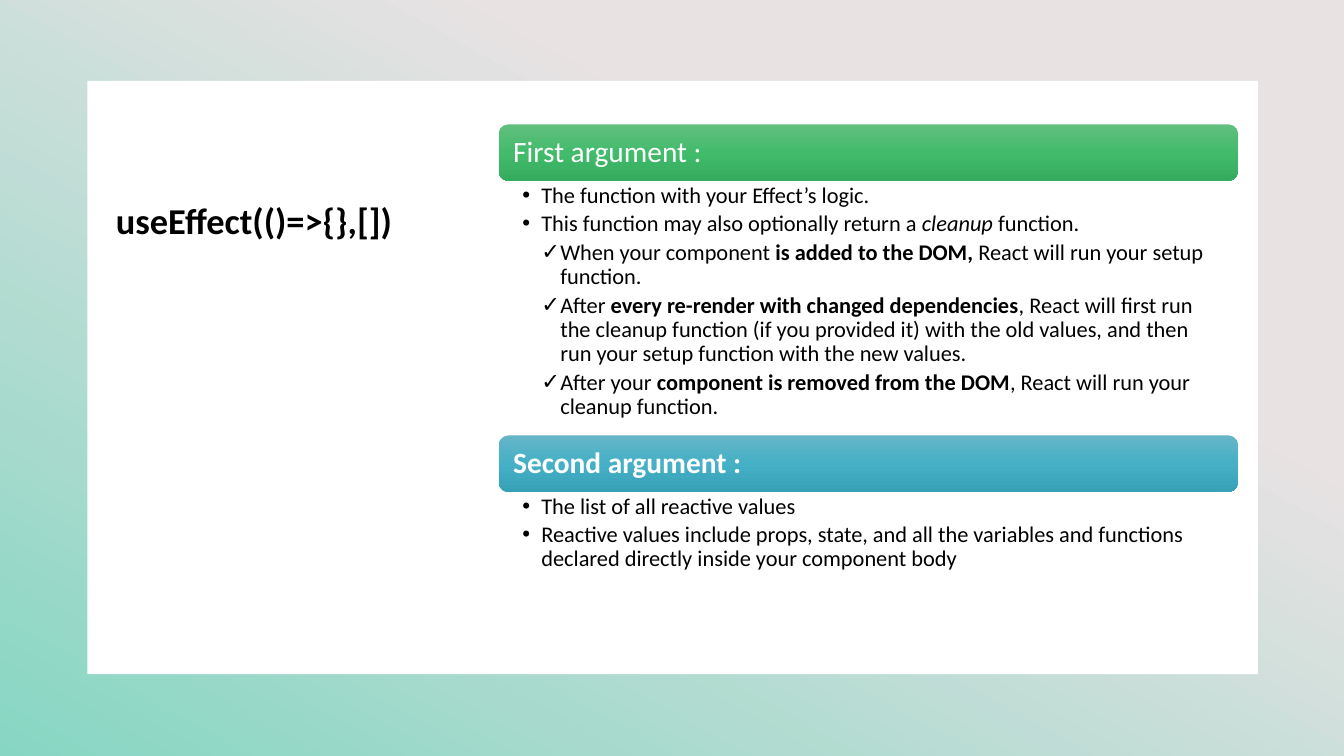
"""Build a slide that explains the two arguments of useEffect."""
from copy import deepcopy

from lxml.etree import SubElement
from pptx import Presentation
from pptx.dml.color import RGBColor
from pptx.enum.shapes import MSO_SHAPE
from pptx.enum.text import MSO_ANCHOR, MSO_AUTO_SIZE, PP_ALIGN
from pptx.oxml.ns import qn
from pptx.util import Pt

BLACK = RGBColor(0x00, 0x00, 0x00)
WHITE = RGBColor(0xFF, 0xFF, 0xFF)
BACKDROP = [(0.32, RGBColor(0xE8, 0xE2, 0xE3)), (1, RGBColor(0x84, 0xD6, 0xC2))]
GREEN = [(0, RGBColor(0x62, 0xBF, 0x7E)), (0.5, RGBColor(0x42, 0xBB, 0x6B)),
         (1, RGBColor(0x35, 0xAB, 0x5E))]
TEAL = [(0, RGBColor(0x66, 0xB5, 0xC7)), (0.5, RGBColor(0x45, 0xB0, 0xC6)),
        (1, RGBColor(0x37, 0xA1, 0xB6))]

BOLD = {"bold": True}
ITALIC = {"italic": True}
FIRST_ITEMS = [
    (1, [("The function with your Effect’s logic.", {})]),
    (1, [("This function may also optionally return a ", {}),
         ("cleanup", ITALIC), (" function.", {})]),
    (2, [("When your component ", {}), ("is added to the DOM,", BOLD),
         (" React will run your setup function.", {})]),
    (2, [("After ", {}), ("every re-render with changed dependencies", BOLD),
         (", React will first run the cleanup function (if you provided it) "
          "with the old values, and then run your setup function with the "
          "new values.", {})]),
    (2, [("After your ", {}), ("component is removed from the DOM", BOLD),
         (", React will run your cleanup function.", {})]),
]
SECOND_ITEMS = [
    (1, [("The list of all reactive values", {})]),
    (1, [("Reactive values include props, state, and all the variables and "
          "functions declared directly inside your component body", {})]),
]
BULLETS = {1: "•", 2: "✓"}
LEFT, WIDTH, BAR_HEIGHT, INDENT = 356.4, 527.8, 40.4, 13.5


def write(p, text, size=16, color=BLACK, bold=False, italic=False, font="Calibri"):
    """Add a formatted run to a paragraph."""
    r = p.add_run()
    r.text = text
    r.font.name, r.font.size = font, Pt(size)
    r.font.bold, r.font.italic = bold, italic
    r.font.color.rgb = color


class Deck:
    """Hold the style and the current slide."""

    def __init__(self, prs):
        """Add a slide with a title and two lists."""
        self.s = prs.slides.add_slide(prs.slide_layouts[3])

    def gradient(self, sp, stops, angle):
        """Fill a shape with a linear gradient and no outline."""
        sp.shadow.inherit = False
        sp.line.fill.background()
        sp.fill.gradient()
        sp.fill.gradient_angle = angle
        gs_list = sp._element.spPr.find(qn("a:gradFill")).find(qn("a:gsLst"))
        for _ in stops[2:]:
            gs_list.append(deepcopy(gs_list[-1]))
        for stop, (position, color) in zip(sp.fill.gradient_stops, stops):
            stop.position = position
            stop.color.rgb = color

    def backdrop(self, x, y, w, h):
        """Draw the tilted gradient outline behind everything."""
        builder = self.s.shapes.build_freeform(Pt(x), Pt(y))
        builder.add_line_segments(
            [(Pt(x + w), Pt(y)), (Pt(x + w), Pt(y + h)), (Pt(x), Pt(y + h))])
        sp = builder.convert_to_shape()
        sp.rotation = 359
        self.gradient(sp, BACKDROP, 240)

    def panel(self, x, y, w, h):
        """Draw the white panel."""
        sp = self.s.shapes.add_shape(MSO_SHAPE.RECTANGLE, Pt(x), Pt(y), Pt(w), Pt(h))
        sp.shadow.inherit = False
        sp.line.fill.background()
        sp.fill.solid()
        sp.fill.fore_color.rgb = WHITE

    def frame(self, sp, anchor, insets):
        """Set up the text frame of a shape and return it."""
        tf = sp.text_frame
        tf.word_wrap = True
        tf.auto_size = MSO_AUTO_SIZE.NONE
        tf.vertical_anchor = anchor
        tf.margin_left, tf.margin_top, tf.margin_right, tf.margin_bottom = map(Pt, insets)
        return tf

    def paragraph(self, p, after=0):
        """Set the spacing and alignment of a paragraph."""
        p.alignment = PP_ALIGN.LEFT
        p.line_spacing = 0.9
        p.space_before, p.space_after = Pt(0), Pt(after)

    def placeholder(self, idx, x, y, w, h):
        """Place a placeholder in front of the shapes drawn so far."""
        sp = self.s.placeholders[idx]
        sp.left, sp.top, sp.width, sp.height = Pt(x), Pt(y), Pt(w), Pt(h)
        self.s.shapes._spTree.append(sp._element)
        return sp

    def title(self, text, x, y, w, h):
        """Write the title."""
        sp = self.placeholder(0, x, y, w, h)
        p = self.frame(sp, MSO_ANCHOR.BOTTOM, (7.2, 3.6, 7.2, 3.6)).paragraphs[0]
        self.paragraph(p)
        write(p, text, size=26, bold=True)

    def bar(self, text, y, stops, bold=False):
        """Draw a rounded heading bar."""
        sp = self.s.shapes.add_shape(
            MSO_SHAPE.ROUNDED_RECTANGLE, Pt(LEFT), Pt(y), Pt(WIDTH), Pt(BAR_HEIGHT))
        self.gradient(sp, stops, 270)
        p = self.frame(sp, MSO_ANCHOR.MIDDLE, (8.2, 6.3, 8.2, 6.3)).paragraphs[0]
        self.paragraph(p)
        write(p, text, size=21, color=WHITE, bold=bold)

    def bullets(self, idx, items, y, h):
        """Fill a body placeholder with a two-level list."""
        sp = self.placeholder(idx, LEFT, y, WIDTH, h)
        tf = self.frame(sp, MSO_ANCHOR.TOP, (16.8, 2, 11.8, 2))
        for i, (level, runs) in enumerate(items):
            p = tf.add_paragraph() if i else tf.paragraphs[0]
            p.level = level
            self.paragraph(p, after=3.2)
            pPr = p._p.get_or_add_pPr()
            pPr.set("marL", str(Pt(INDENT * level)))
            pPr.set("indent", str(Pt(-INDENT)))
            SubElement(pPr, qn("a:buChar")).set("char", BULLETS[level])
            for text, style in runs:
                write(p, text, **style)


def main():
    """Build and save the slide."""
    prs = Presentation()
    prs.slide_width, prs.slide_height = Pt(960), Pt(540)
    deck = Deck(prs)
    deck.backdrop(-4.5, -8.5, 969, 556.5)
    deck.panel(62.5, 57.8, 836, 423.8)
    deck.title("useEffect(()=>{},[])", 75.6, 103, 273.6, 73.4)
    sections = [
        (1, "First argument :", 88.8, GREEN, False, FIRST_ITEMS, 181.5),
        (2, "Second argument :", 311, TEAL, True, SECOND_ITEMS, 62),
    ]
    for idx, heading, y, stops, bold, items, h in sections:
        deck.bar(heading, y, stops, bold)
        deck.bullets(idx, items, y + BAR_HEIGHT, h)
    prs.save("out.pptx")


if __name__ == "__main__":
    main()
